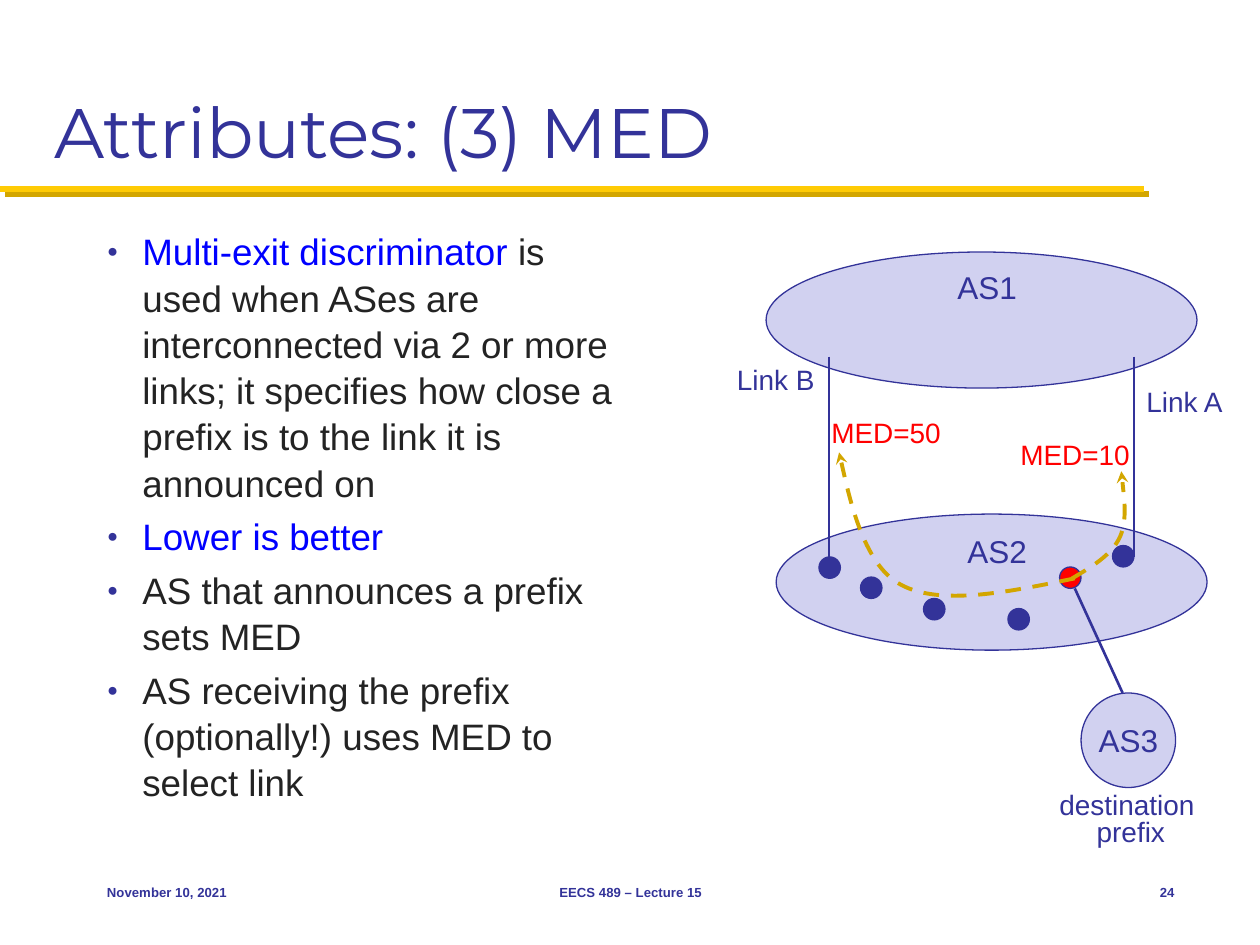
import dataclasses

import lxml.etree
import pptx
import pptx.dml.color
import pptx.enum.dml
import pptx.enum.shapes
import pptx.enum.text
import pptx.oxml.ns
import pptx.util

Inches = pptx.util.Inches
Pt = pptx.util.Pt
qn = pptx.oxml.ns.qn
ALIGN = pptx.enum.text.PP_ALIGN
ANCHOR = pptx.enum.text.MSO_ANCHOR
FIT = pptx.enum.text.MSO_AUTO_SIZE


@dataclasses.dataclass(frozen=True)
class Theme:
    navy: str = "333399"
    text: str = "232323"
    key: str = "0000FF"
    alert: str = "FF0000"
    cloud: str = "D1D1F0"
    maize: str = "FFCB05"
    gold: str = "D3A600"
    title_font: str = "Montserrat"
    font: str = "Arial"
    title: float = 40
    body: float = 21
    name: float = 18
    label: float = 16
    footer: float = 7.5


T = Theme()


def rgb(value):
    return pptx.dml.color.RGBColor.from_string(value)


def add_xml(parent, tag, **attrs):
    return lxml.etree.SubElement(parent, qn(tag), attrs)


def add_run(p, text, size, color, font=T.font, bold=False):
    r = p.add_run()
    r.text = text
    r.font.size, r.font.name, r.font.bold = Pt(size), font, bold
    r.font.color.rgb = rgb(color)


def place(sp, x, y, w, h):
    sp.left, sp.top, sp.width, sp.height = (Inches(v) for v in (x, y, w, h))


def add_line(s, x1, y1, x2, y2, color, width):
    """Add a straight line and return its empty effect list."""
    line = s.shapes.add_connector(pptx.enum.shapes.MSO_CONNECTOR.STRAIGHT,
                                  Inches(x1), Inches(y1), Inches(x2), Inches(y2))
    line.line.color.rgb, line.line.width = rgb(color), Pt(width)
    return add_xml(line._element.spPr, "a:effectLst")


def add_ellipse(s, x, y, w, h, fill):
    sp = s.shapes.add_shape(pptx.enum.shapes.MSO_SHAPE.OVAL,
                            Inches(x), Inches(y), Inches(w), Inches(h))
    sp.shadow.inherit = False
    sp.fill.solid()
    sp.fill.fore_color.rgb = rgb(fill)
    sp.line.color.rgb, sp.line.width = rgb(T.navy), Pt(0.75)


def add_label(s, x, y, w, h, lines, size, color=T.navy):
    tf = s.shapes.add_textbox(Inches(x), Inches(y), Inches(w), Inches(h)).text_frame
    tf.word_wrap, tf.auto_size = False, FIT.SHAPE_TO_FIT_TEXT
    p = tf.paragraphs[0]
    for i, line in enumerate(lines):
        if i:
            p.add_line_break()
        add_run(p, line, size, color)
    return p


def add_route(s, points):
    """Draw a dashed arrow: a start point, then three points per Bezier curve."""
    (x, y), *rest = [(Inches(px), Inches(py)) for px, py in points]
    builder = s.shapes.build_freeform(x, y)
    builder.add_line_segments(rest, close=False)
    sp = builder.convert_to_shape()
    sp.shadow.inherit = False
    sp.fill.background()
    sp.line.color.rgb, sp.line.width = rgb(T.gold), Pt(2.25)
    sp.line.dash_style = pptx.enum.dml.MSO_LINE.DASH
    add_xml(sp._element.spPr.find(qn("a:ln")), "a:tailEnd", type="stealth")
    path = sp._element.spPr.find(".//" + qn("a:path"))
    segments = path.findall(qn("a:lnTo"))
    for i in range(0, len(segments), 3):
        curve = add_xml(path, "a:cubicBezTo")
        for segment in segments[i:i + 3]:
            curve.append(segment[0])
            path.remove(segment)


def title_region(s, x, y, w, h):
    effects = add_line(s, 0, 1.5, 9.08, 1.5, T.maize, 3.5)
    shadow = add_xml(effects, "a:outerShdw", dist=str(Pt(4.2)), dir="2700000")
    add_xml(shadow, "a:srgbClr", val=T.gold)
    sp = s.shapes.title
    place(sp, x, y, w, h)
    tf = sp.text_frame
    tf.auto_size, tf.vertical_anchor = FIT.NONE, ANCHOR.BOTTOM
    p = tf.paragraphs[0]
    p.alignment = ALIGN.LEFT
    add_run(p, "Attributes: (3) MED", T.title, T.navy, T.title_font)


def body_region(s, x, y, w, h):
    items = [
        [("Multi-exit discriminator ", T.key),
         ("is used when ASes are interconnected via 2 or more links; it specifies "
          "how close a prefix is to the link it is announced on", T.text)],
        [("Lower is better", T.key)],
        [("AS that announces a prefix sets MED", T.text)],
        [("AS receiving the prefix (optionally!) uses MED to select link", T.text)],
    ]
    sp = s.placeholders[1]
    place(sp, x, y, w, h)
    tf = sp.text_frame
    tf.auto_size = FIT.NONE
    for i, runs in enumerate(items):
        p = tf.add_paragraph() if i else tf.paragraphs[0]
        p.line_spacing = 1.05
        pPr = p._p.get_or_add_pPr()
        pPr.set("marL", str(Inches(0.28)))
        pPr.set("indent", str(Inches(-0.28)))
        add_xml(add_xml(pPr, "a:buClr"), "a:srgbClr", val=T.navy)
        add_xml(pPr, "a:buSzPct", val="50000")
        add_xml(pPr, "a:buFont", typeface=T.font)
        add_xml(pPr, "a:buChar", char="●")
        for text, color in runs:
            add_run(p, text, T.body, color)


def network_region(s, x, y):
    for dx, dy in [(0.33, 0), (0.41, 2.08)]:
        add_ellipse(s, x + dx, y + dy, 3.42, 1.08, T.cloud)
    for dx in (0.83, 3.25):
        add_line(s, x + dx, y + 0.83, x + dx, y + 2.42, T.navy, 1.5)
    routers = [(0.75, 2.42, T.navy), (1.08, 2.58, T.navy), (2.25, 2.83, T.navy),
               (2.66, 2.5, T.alert), (3.08, 2.33, T.navy), (1.58, 2.75, T.navy)]
    for dx, dy, color in routers:
        add_ellipse(s, x + dx, y + dy, 0.17, 0.17, color)
    add_ellipse(s, x + 2.83, y + 3.5, 0.75, 0.75, T.cloud)
    add_line(s, x + 2.78, y + 2.67, x + 3.16, y + 3.5, T.navy, 1.5)

    labels = [("Link B", 0, 0.83, 0.82, T.navy), ("Link A", 3.25, 1, 0.84, T.navy),
              ("MED=10", 2.25, 1.42, 1.08, T.alert), ("MED=50", 0.75, 1.25, 1.08, T.alert)]
    for text, dx, dy, w, color in labels:
        add_label(s, x + dx, y + dy, w, 0.37, [text], T.label, color)
    for text, dx, dy in [("AS1", 1.75, 0.08), ("AS2", 1.83, 2.17), ("AS3", 2.87, 3.67)]:
        add_label(s, x + dx, y + dy, 0.68, 0.4, [text], T.name)
    p = add_label(s, x + 2.55, y + 4.25, 1.35, 0.53, ["destination ", "prefix"], T.label)
    p.alignment, p.line_spacing = ALIGN.CENTER, 0.8

    routes = [
        [(2.78, 2.59), (2.25, 2.7), (1.71, 2.81), (1.4, 2.64),
         (1.09, 2.48), (0.91, 1.59), (0.91, 1.59)],
        [(2.76, 2.59), (2.91, 2.5), (3.07, 2.41), (3.14, 2.26),
         (3.2, 2.12), (3.15, 1.74), (3.15, 1.74)],
    ]
    for route in routes:
        add_route(s, [(x + dx, y + dy) for dx, dy in route])


def footer_region(s, y, h):
    parts = [("November 10, 2021", 0.75, 2.08, ALIGN.LEFT),
             ("EECS 489 – Lecture 15", 3.42, 3.17, ALIGN.CENTER),
             ("24", 8.75, 0.67, ALIGN.RIGHT)]
    for text, x, w, align in parts:
        tf = s.shapes.add_textbox(Inches(x), Inches(y), Inches(w), Inches(h)).text_frame
        tf.word_wrap, tf.vertical_anchor = True, ANCHOR.MIDDLE
        p = tf.paragraphs[0]
        p.alignment = align
        add_run(p, text, T.footer, T.navy, bold=True)


def main():
    prs = pptx.Presentation()
    prs.slide_width, prs.slide_height = Inches(10), Inches(7.5)
    s = prs.slides.add_slide(prs.slide_layouts[1])
    title_region(s, 0.33, 0.17, 9.33, 1.25)
    body_region(s, 0.75, 1.75, 4.25, 4.83)
    network_region(s, 5.75, 2)
    footer_region(s, 6.83, 0.5)
    prs.save("out.pptx")


if __name__ == "__main__":
    main()
